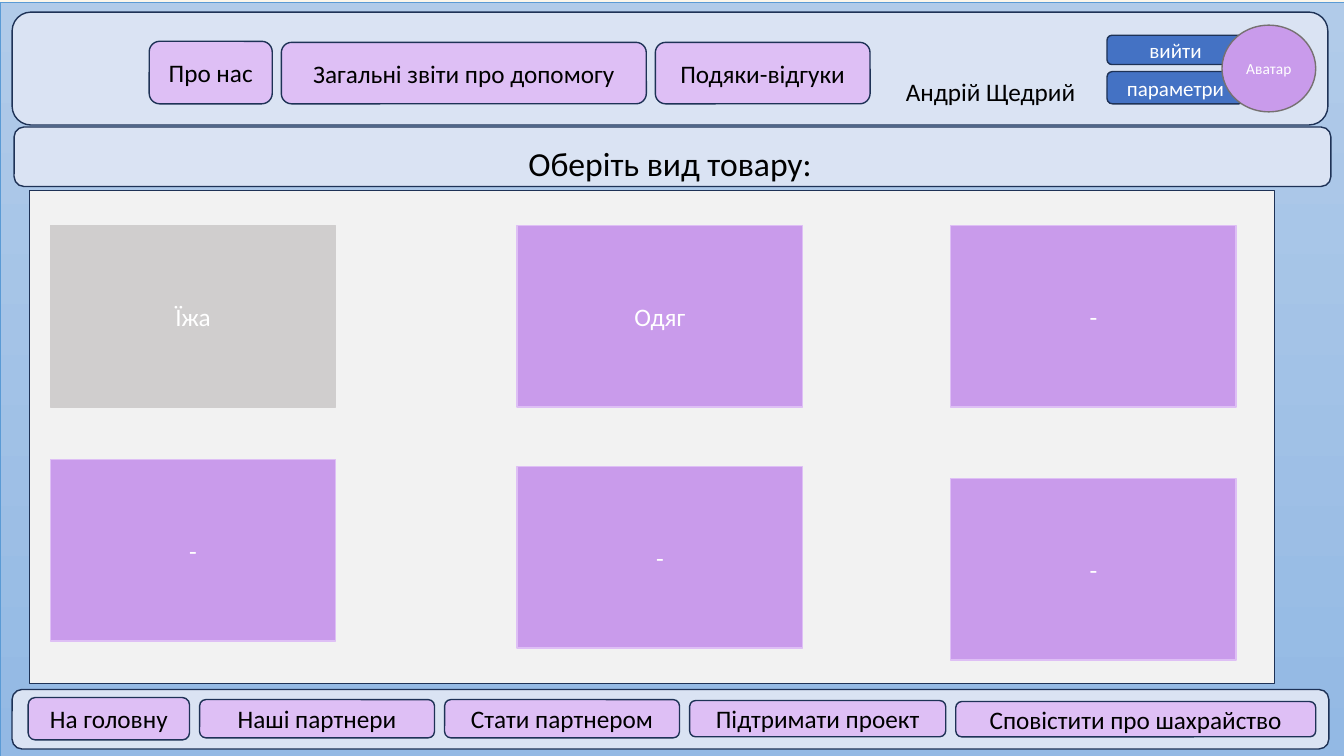
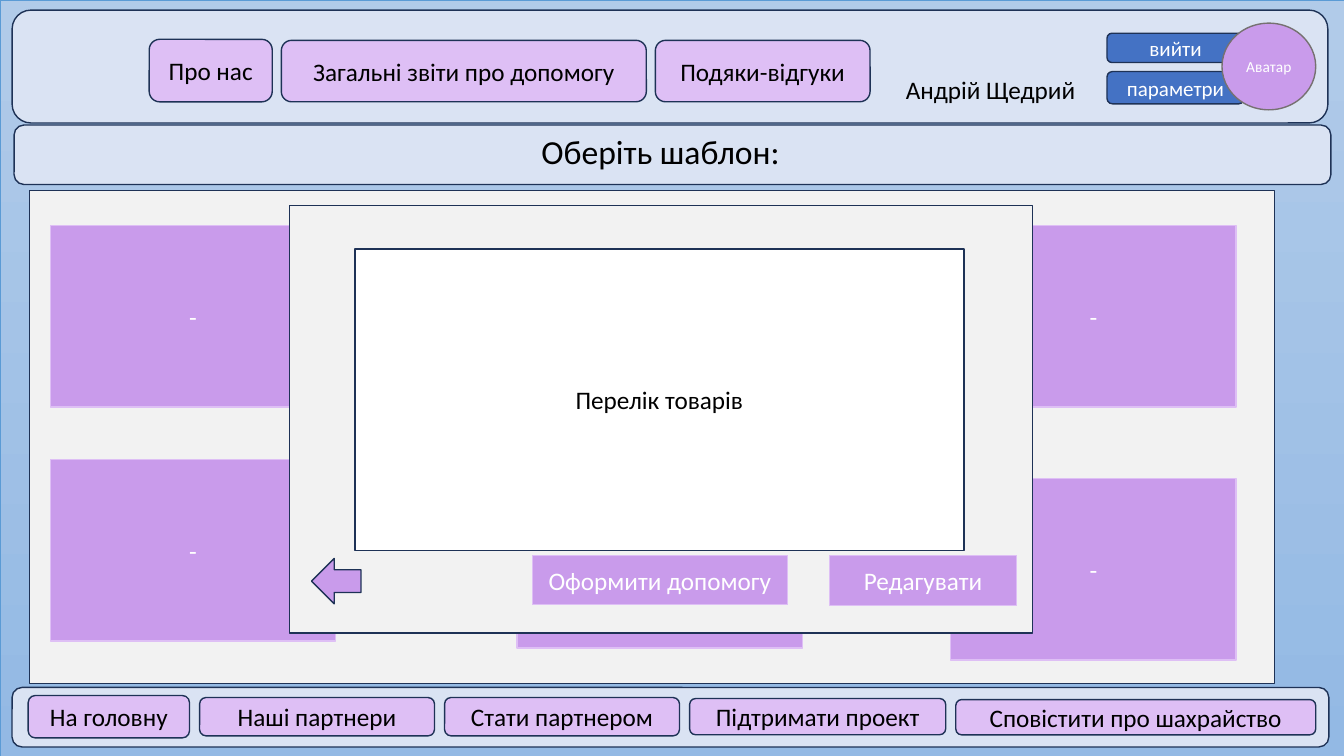
from pptx import Presentation
from pptx.dml.color import RGBColor
from pptx.enum.shapes import MSO_SHAPE
from pptx.enum.text import MSO_ANCHOR, MSO_AUTO_SIZE, PP_ALIGN
from pptx.util import Pt

PX = 9144
FONT = "Calibri"
PAGE = RGBColor(0xFC, 0xF7, 0xEB)
SKY_TOP = RGBColor(0xB1, 0xCB, 0xE9)
SKY_BOTTOM = RGBColor(0x93, 0xB9, 0xE4)
SKY_EDGE = RGBColor(0x5B, 0x9B, 0xD5)
BAND = RGBColor(0xDA, 0xE3, 0xF3)
NAVY = RGBColor(0x1E, 0x32, 0x56)
BLUE = RGBColor(0x44, 0x72, 0xC4)
LILAC = RGBColor(0xDE, 0xBF, 0xF5)
PURPLE = RGBColor(0xC9, 0x9B, 0xEB)
SILVER = RGBColor(0xD0, 0xCE, 0xCE)
GRAY = RGBColor(0x76, 0x71, 0x71)
PANEL = RGBColor(0xF2, 0xF2, 0xF2)
WHITE = RGBColor(0xFF, 0xFF, 0xFF)
BLACK = RGBColor(0x00, 0x00, 0x00)

CARD_SIZE = (283, 180)
CARD_PLACES = [(50, 224), (513, 224), (943, 224), (50, 456), (513, 463), (943, 475)]
MENU = [("Про нас", 122, 62), ("Загальні звіти про допомогу", 362, 61), ("Подяки-відгуки", 213, 61)]
FOOTER = [
    ("На головну", 160, 42),
    ("Наші партнери", 233, 38),
    ("Стати партнером", 233, 38),
    ("Підтримати проект", 254, 36),
    ("Сповістити про шахрайство", 357, 35),
]


def style_text(text_frame, text, size, color, alignment):
    text_frame.text = text
    paragraph = text_frame.paragraphs[0]
    paragraph.alignment = alignment
    font = paragraph.runs[0].font
    font.name = FONT
    font.size = Pt(size)
    font.color.rgb = color


def add_box(slide, kind, box, fill=None, line=None, line_width=1):
    shape = slide.shapes.add_shape(kind, *(value * PX for value in box))
    shape.shadow.inherit = False
    if fill is None:
        shape.fill.background()
    else:
        shape.fill.solid()
        shape.fill.fore_color.rgb = fill
    if line is None:
        shape.line.fill.background()
    else:
        shape.line.color.rgb = line
        shape.line.width = Pt(line_width)
    return shape


def add_label(shape, text, size=18, color=BLACK):
    text_frame = shape.text_frame
    text_frame.word_wrap = True
    text_frame.vertical_anchor = MSO_ANCHOR.MIDDLE
    text_frame.margin_left = text_frame.margin_right = 0
    style_text(text_frame, text, size, color, PP_ALIGN.CENTER)


def add_band(slide, box):
    add_box(slide, MSO_SHAPE.ROUNDED_RECTANGLE, box, BAND, NAVY)


def add_tile(slide, box, text, fill=PURPLE, line=LILAC, color=WHITE):
    add_label(add_box(slide, MSO_SHAPE.RECTANGLE, box, fill, line), text, color=color)


def add_button_row(slide, buttons, left, middle, gap):
    for text, width, height in buttons:
        box = (left, middle - height // 2, width, height)
        add_label(add_box(slide, MSO_SHAPE.ROUNDED_RECTANGLE, box, LILAC, NAVY), text)
        left += width + gap


def add_sky(slide, top):
    sky = add_box(slide, MSO_SHAPE.RECTANGLE, (0, top, 1339, 750), SKY_TOP, SKY_EDGE, 0.5)
    sky.fill.gradient()
    sky.fill.gradient_angle = 270
    for stop, color in zip(sky.fill.gradient_stops, (SKY_TOP, SKY_BOTTOM)):
        stop.color.rgb = color


def add_account(slide, shift):
    for text, top in (("параметри", 71), ("вийти", 33 + shift)):
        height = 32 if text == "параметри" else 29
        button = add_box(slide, MSO_SHAPE.ROUNDED_RECTANGLE, (1098, top, 136, height), BLUE, NAVY)
        add_label(button, text, 15, WHITE)
    name = add_box(slide, MSO_SHAPE.ROUNDED_RECTANGLE, (887, 72 + shift, 351, 33))
    name.text_frame.vertical_anchor = MSO_ANCHOR.MIDDLE
    style_text(name.text_frame, "Андрій Щедрий", 18, BLACK, PP_ALIGN.LEFT)
    avatar_box = (1212, 23 + shift, 93, 86)
    avatar = add_box(slide, MSO_SHAPE.FLOWCHART_CONNECTOR, avatar_box, PURPLE, GRAY)
    add_label(avatar, "Аватар", 11, WHITE)


def set_title(slide, text, left, top):
    title = slide.shapes.title
    title.left, title.top, title.width, title.height = (
        value * PX for value in (left, top, 497, 50)
    )
    text_frame = title.text_frame
    text_frame.word_wrap = True
    text_frame.auto_size = MSO_AUTO_SIZE.SHAPE_TO_FIT_TEXT
    text_frame.vertical_anchor = MSO_ANCHOR.TOP
    style_text(text_frame, text, 24, BLACK, PP_ALIGN.LEFT)
    slide.shapes._spTree.append(title._element)


def add_page(presentation, title, title_left, title_top, shift):
    slide = presentation.slides.add_slide(presentation.slide_layouts[5])
    add_sky(slide, shift)
    add_band(slide, (12, 682 + shift, 1306, 59))
    add_band(slide, (12, 10 + shift, 1305, 112))
    add_account(slide, shift)
    add_band(slide, (14, 124 + shift, 1306, 59))
    add_button_row(slide, MENU, 148, 70 + shift, 9)
    add_button_row(slide, FOOTER, 28, 711 + shift, 10)
    add_box(slide, MSO_SHAPE.RECTANGLE, (29, 189, 1235, 489), PANEL, NAVY)
    set_title(slide, title, title_left, title_top)
    return slide


def add_cards(slide, labels):
    for place, label in zip(CARD_PLACES, labels):
        if label == "Їжа":
            add_tile(slide, place + CARD_SIZE, label, SILVER, SILVER)
        elif label:
            add_tile(slide, place + CARD_SIZE, label)


def add_dialog(slide):
    add_box(slide, MSO_SHAPE.RECTANGLE, (287, 204, 737, 424), PANEL, NAVY)
    add_tile(slide, (352, 247, 604, 299), "Перелік товарів", WHITE, NAVY, BLACK)
    add_box(slide, MSO_SHAPE.LEFT_ARROW, (309, 554, 49, 45), PURPLE, NAVY)
    add_tile(slide, (528, 551, 253, 49), "Оформити допомогу")
    add_tile(slide, (823, 551, 185, 50), "Редагувати")


def main():
    presentation = Presentation()
    presentation.slide_width = 1333 * PX
    presentation.slide_height = 750 * PX
    background = presentation.slide_master.background.fill
    background.solid()
    background.fore_color.rgb = PAGE

    goods = add_page(presentation, "Оберіть вид товару:", 514, 137, 2)
    add_cards(goods, ["Їжа", "Одяг", "-", "-", "-", "-"])

    template = add_page(presentation, "Оберіть шаблон:", 527, 125, 0)
    add_cards(template, ["-", None, "-", "-", "-", "-"])
    add_dialog(template)

    presentation.save("out.pptx")


if __name__ == "__main__":
    main()
